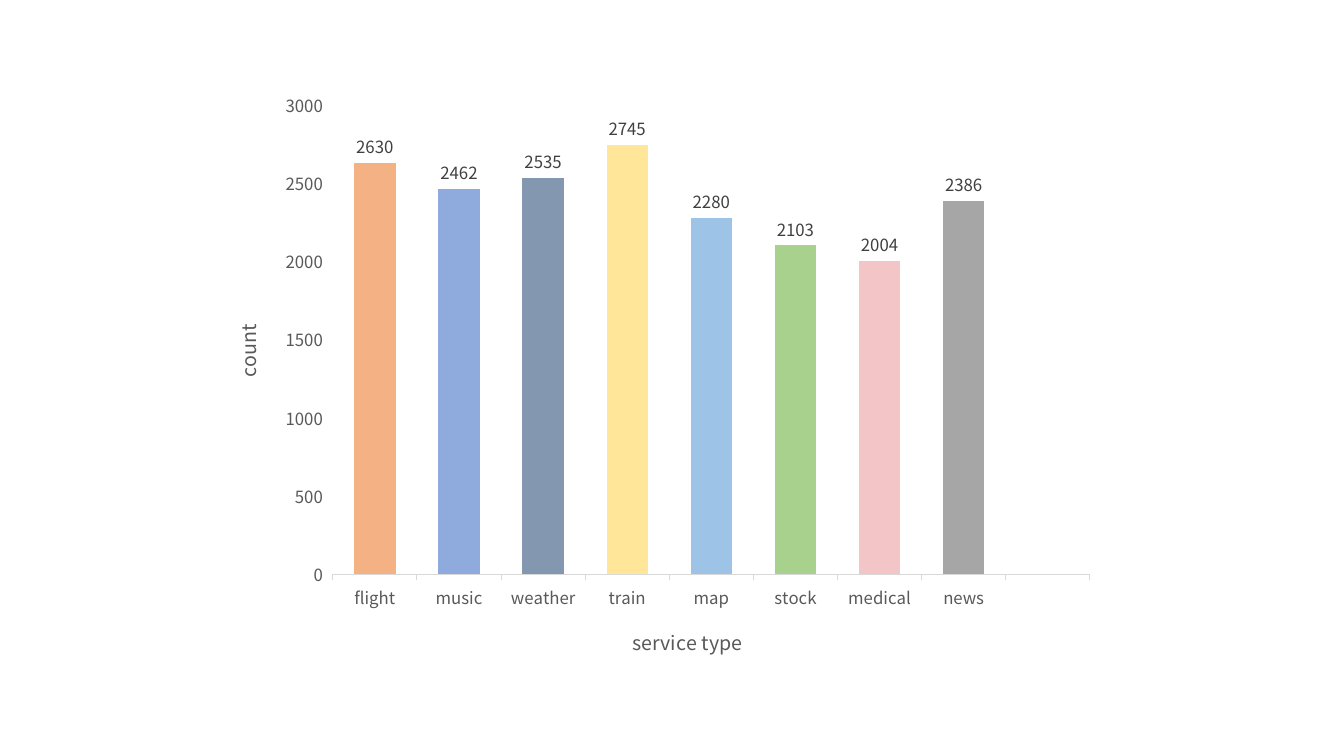
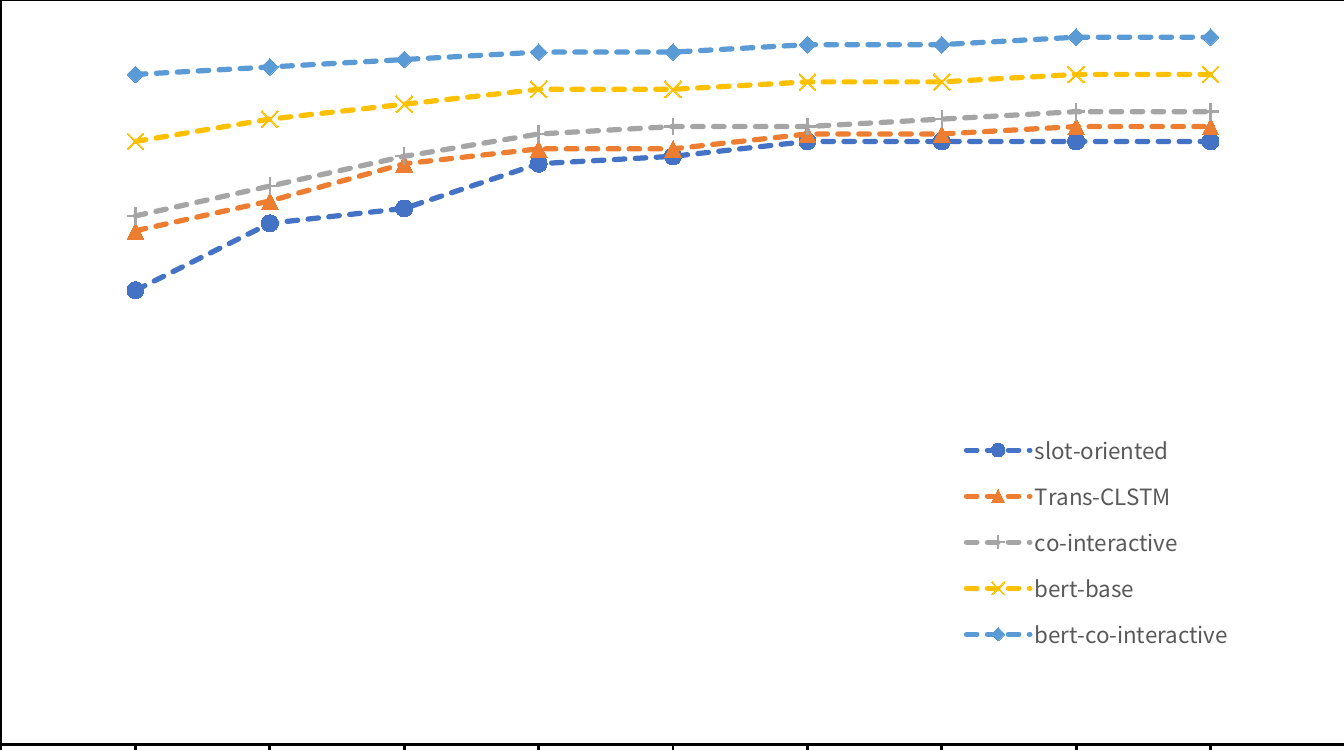
"""Build two chart slides: service type counts and accuracy per iteration."""
from pptx import Presentation
from pptx import util as u
from pptx.chart.data import CategoryChartData
from pptx.dml.color import RGBColor
from pptx.enum import chart as kinds
from pptx.enum import dml
from pptx.oxml import parse_xml
from pptx.oxml.ns import nsdecls, qn

PX = 9525
FONT = "Noto Sans CJK SC"
COLORS = {
    "text": "595959", "label": "404040", "grid": "D9D9D9", "black": "000000",
    "flight": "F4B183", "music": "8FAADC", "weather": "8497B0", "train": "FFE699",
    "map": "9DC3E6", "stock": "A9D18E", "medical": "F3C5C6", "news": "A6A6A6",
    "slot-oriented": "4472C4", "Trans-CLSTM": "ED7D31", "co-interactive": "A5A5A5",
    "bert-base": "FFC000", "bert-co-interactive": "5B9BD5",
}
COUNTS = {"flight": 2630, "music": 2462, "weather": 2535, "train": 2745,
          "map": 2280, "stock": 2103, "medical": 2004, "news": 2386}
MARKER = kinds.XL_MARKER_STYLE
ACCURACY = {
    "slot-oriented": (MARKER.CIRCLE, [0.61, 0.7, 0.72, 0.78, 0.79, 0.81, 0.81, 0.81, 0.81]),
    "Trans-CLSTM": (MARKER.TRIANGLE, [0.69, 0.73, 0.78, 0.8, 0.8, 0.82, 0.82, 0.83, 0.83]),
    "co-interactive": (MARKER.PLUS, [0.71, 0.75, 0.79, 0.82, 0.83, 0.83, 0.84, 0.85, 0.85]),
    "bert-base": (MARKER.X, [0.81, 0.84, 0.86, 0.88, 0.88, 0.89, 0.89, 0.9, 0.9]),
    "bert-co-interactive": (MARKER.DIAMOND, [0.9, 0.91, 0.92, 0.93, 0.93, 0.94, 0.94, 0.95, 0.95]),
}


def color(name):
    """Return a named colour."""
    return RGBColor.from_string(COLORS[name])


def style_font(font, size, name="text"):
    """Set the shared typeface with a size and colour."""
    font.name, font.size, font.bold = FONT, u.Pt(size), False
    font.color.rgb = color(name)


def paint(form, name):
    """Give a shape format a solid fill."""
    form.fill.solid()
    form.fill.fore_color.rgb = color(name)


def style_line(line, name, width):
    """Set a solid line colour and width."""
    line.color.rgb = color(name)
    line.width = u.Pt(width)


def make_layout(box, part, inner=False):
    """Return a manual layout placing a part inside a chart box, all in page px."""
    left, top, width, height = box
    values = {"x": (part[0] - left) / width, "y": (part[1] - top) / height,
              "w": part[2] / width, "h": part[3] / height}
    target = '<c:layoutTarget val="inner"/>' if inner else ""
    modes = "".join(f'<c:{key}Mode val="edge"/>' for key in "xy")
    sizes = "".join(f'<c:{key} val="{value:.4f}"/>' for key, value in values.items())
    return parse_xml(f'<c:layout {nsdecls("c")}><c:manualLayout>{target}{modes}{sizes}'
                     '</c:manualLayout></c:layout>')


def add_chart(page, kind, data, box, plot_box):
    """Add a chart without title or gridlines, its plot fixed in place."""
    chart = page.shapes.add_chart(kind, *(side * PX for side in box), data).chart
    style_font(chart.font, 10, "black")
    chart.has_title = chart.has_legend = False
    chart.value_axis.has_major_gridlines = False
    area = chart.element.find(".//" + qn("c:plotArea"))
    for layout in area.findall(qn("c:layout")):
        area.remove(layout)
    area.insert(0, make_layout(box, plot_box, True))
    return chart


def style_axis(axis, size, line=None, title=None):
    """Style an axis: tick labels, line as (colour, width) and title."""
    axis.major_tick_mark = kinds.XL_TICK_MARK.OUTSIDE
    style_font(axis.tick_labels.font, size)
    if line:
        style_line(axis.format.line, *line)
    else:
        axis.format.line.fill.background()
    if title:
        frame = axis.axis_title.text_frame
        frame.text = title
        style_font(frame.paragraphs[0].runs[0].font, 14)


def add_count_chart(page, box):
    """Add the column chart of counts per service type."""
    left, top, width, height = box
    data = CategoryChartData()
    data.categories = [*COUNTS, ""]
    data.add_series("Series 1", [*COUNTS.values(), None])
    chart = add_chart(page, kinds.XL_CHART_TYPE.COLUMN_CLUSTERED, data, box,
                      (left + 115, top + 24, width - 132, height - 122))
    style_axis(chart.category_axis, 12, ("grid", 0.75), "service type")
    style_axis(chart.value_axis, 12, title="count")
    chart.value_axis.minimum_scale, chart.value_axis.maximum_scale = 0, 3000
    chart.value_axis.major_unit = 500
    plot = chart.plots[0]
    plot.gap_width, plot.overlap, plot.vary_by_categories = 103, -27, False
    series = plot.series[0]
    paint(series.format, "black")
    for index, name in enumerate(COUNTS):
        paint(series.points[index].format, name)
    labels = series.data_labels
    labels.show_value = True
    labels.position = kinds.XL_LABEL_POSITION.OUTSIDE_END
    style_font(labels.font, 12, "label")


def style_series(series, name, marker):
    """Style one dashed line with its markers."""
    series.smooth = False
    style_line(series.format.line, name, 3.75)
    series.format.line.dash_style = dml.MSO_LINE.SQUARE_DOT
    series.marker.style, series.marker.size = marker, 12
    paint(series.marker.format, name)
    style_line(series.marker.format.line, name, 0.75)


def add_legend(chart, box, part):
    """Place the legend over the plot."""
    chart.has_legend = True
    legend = chart.legend
    legend.position = kinds.XL_LEGEND_POSITION.LEFT
    legend.include_in_layout = False
    style_font(legend.font, 16)
    position = chart.element.find(".//" + qn("c:legendPos"))
    for layout in position.getparent().findall(qn("c:layout")):
        position.getparent().remove(layout)
    position.addnext(make_layout(box, part))


def add_accuracy_chart(page, box):
    """Add the line chart of accuracy per iteration."""
    left, top, width, height = box
    data = CategoryChartData()
    data.categories = ["", *(str(step) for step in range(2, 20, 2)), ""]
    for name, (_, values) in ACCURACY.items():
        data.add_series(name, [None, *values, None])
    chart = add_chart(page, kinds.XL_CHART_TYPE.LINE_MARKERS, data, box,
                      (left + 142, top + 15, width - 195, height - 117))
    axis = chart.value_axis
    for item in (chart.category_axis, axis):
        style_axis(item, 16, ("black", 2))
    axis.minimum_scale, axis.maximum_scale, axis.major_unit = 0, 1, 0.2
    for old in chart.element.xpath("//c:valAx/c:crossBetween"):
        old.getparent().remove(old)
    chart.element.xpath("//c:valAx/c:crosses")[0].addnext(
        parse_xml(f'<c:crossBetween {nsdecls("c")} val="midCat"/>'))
    chart.plots[0].vary_by_categories = False
    for series, (name, (marker, _)) in zip(chart.plots[0].series, ACCURACY.items()):
        style_series(series, name, marker)
    for line in chart.element.xpath("//c:ser/c:spPr/a:ln"):
        line.set("cap", "rnd")
    chart.element.find(".//" + qn("c:plotArea")).append(parse_xml(
        f'<c:spPr {nsdecls("c", "a")}><a:noFill/><a:ln w="9525"><a:solidFill>'
        f'<a:srgbClr val="{COLORS["black"]}"/></a:solidFill></a:ln></c:spPr>'))
    add_legend(chart, box, (left + 1051, top + 415, 270, 233))


def main():
    """Build and save the deck."""
    deck = Presentation()
    deck.slide_width, deck.slide_height = 1280 * PX, 720 * PX
    regions = ((add_count_chart, (202, 76, 853, 569)),
               (add_accuracy_chart, (-141, -15, 1475, 826)))
    for build, box in regions:
        build(deck.slides.add_slide(deck.slide_layouts[6]), box)
    deck.save("out.pptx")


if __name__ == "__main__":
    main()
